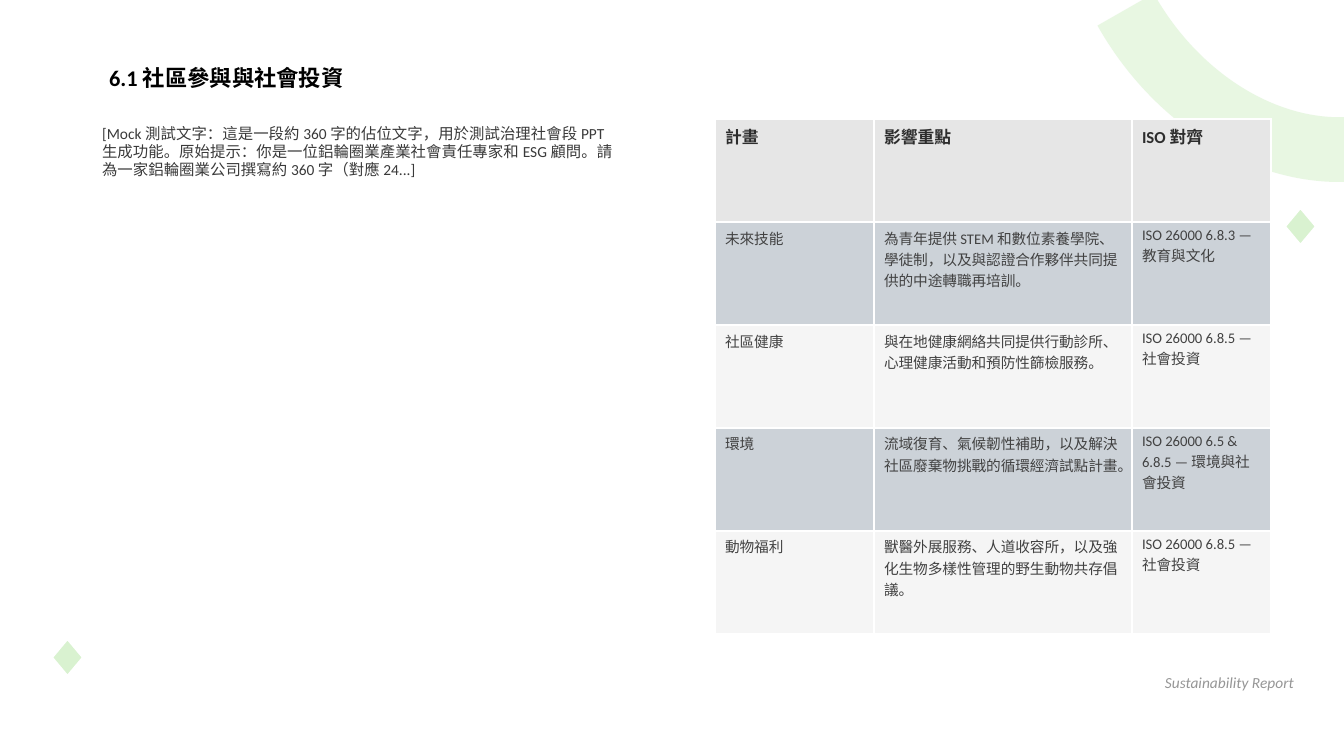
from lxml.etree import SubElement
from pptx import Presentation
from pptx.dml.color import RGBColor
from pptx.enum.shapes import MSO_SHAPE as Shape
from pptx.enum.text import MSO_ANCHOR as Anchor, MSO_AUTO_SIZE as AutoSize, PP_ALIGN as Align
from pptx.oxml.ns import qn
from pptx.util import Pt

SCALE = 12192000 / 1344
FONT = "Calibri"
LEAF = "D9F2D0"
COLUMNS = [159, 258, 139]
ROW_HEIGHT = 103
PROGRAMMES = [
    ("計畫", "影響重點", "ISO 對齊"),
    ("未來技能", "為青年提供 STEM 和數位素養學院、學徒制，以及與認證合作夥伴共同提供的中途轉職再培訓。",
     "ISO 26000 6.8.3 — 教育與文化"),
    ("社區健康", "與在地健康網絡共同提供行動診所、心理健康活動和預防性篩檢服務。",
     "ISO 26000 6.8.5 — 社會投資"),
    ("環境", "流域復育、氣候韌性補助，以及解決社區廢棄物挑戰的循環經濟試點計畫。",
     "ISO 26000 6.5 & 6.8.5 — 環境與社會投資"),
    ("動物福利", "獸醫外展服務、人道收容所，以及強化生物多樣性管理的野生動物共存倡議。",
     "ISO 26000 6.8.5 — 社會投資"),
]
INTRODUCTION = [
    "[Mock 測試文字：這是一段約 360 字的佔位文字，用於測試治理社會段 PPT",
    "生成功能。原始提示：你是一位鋁輪圈業產業社會責任專家和 ESG 顧問。請為一家鋁輪圈業公司撰寫約 360 字（對應 24...]",
]


def px(length):
    return round(length * SCALE)


def colour(code):
    return RGBColor.from_string(code)


def style(para, size, code, bold=False, italic=False):
    para.font.name = FONT
    para.font.size = Pt(size)
    para.font.bold = bold
    para.font.italic = italic
    para.font.color.rgb = colour(code)


def place(box, left, top, width, height):
    box.left, box.top, box.width, box.height = map(px, (left, top, width, height))
    frame = box.text_frame
    frame.word_wrap = True
    frame.auto_size = AutoSize.NONE
    frame.vertical_anchor = Anchor.TOP
    return frame


def add_arc(page):
    arc = page.shapes.add_shape(Shape.ARC, px(1099), px(-341), px(403), px(501))
    arc.shadow.inherit = False
    arc.rotation = 151.3
    arc.adjustments[0] = 152.05
    arc.adjustments[1] = 215.37
    arc.fill.background()
    arc.line.width = Pt(46.25)
    arc.line.color.rgb = colour(LEAF)
    tint = arc.line._get_or_add_ln().find(".//" + qn("a:srgbClr"))
    SubElement(tint, qn("a:alpha"), val="60000")


def add_diamond(page, left, top):
    diamond = page.shapes.add_shape(Shape.DIAMOND, px(left), px(top), px(31), px(37))
    diamond.shadow.inherit = False
    diamond.fill.solid()
    diamond.fill.fore_color.rgb = colour(LEAF)
    diamond.line.color.rgb = colour("FFFFFF")
    diamond.line.width = Pt(1.5)


def fill_title(page, text):
    frame = place(page.shapes.title, 99, 59, 793, 101)
    frame.text = text
    para = frame.paragraphs[0]
    para.alignment = Align.LEFT
    style(para, 16, "000000", bold=True)


def fill_body(page, texts):
    frame = place(page.placeholders[1], 92, 119, 535, 596)
    frame.text = "\n".join(texts)
    for para in frame.paragraphs:
        properties = para._p.get_or_add_pPr()
        properties.set("marL", "0")
        properties.set("indent", "0")
        SubElement(properties, qn("a:buNone"))
        para.space_before = Pt(0)
        para.line_spacing = Pt(13)
        style(para, 11, "3A3A3A")


def add_programme_table(page):
    table = page.shapes.add_table(
        len(PROGRAMMES), len(COLUMNS), px(715), px(119),
        px(sum(COLUMNS)), px(ROW_HEIGHT * len(PROGRAMMES))).table
    for column, width in zip(table.columns, COLUMNS):
        column.width = px(width)
    for number, texts in enumerate(PROGRAMMES):
        header = number == 0
        fill = "E6E6E6" if header else "CCD2D8" if number % 2 else "F5F5F5"
        for cell, text in zip(table.rows[number].cells, texts):
            cell.text = text
            cell.fill.solid()
            cell.fill.fore_color.rgb = colour(fill)
            para = cell.text_frame.paragraphs[0]
            if header:
                style(para, 12, "2D2D2D", bold=True)
            else:
                style(para, 10.5, "424242")


def add_footer(page, text):
    frame = place(page.shapes.add_textbox(0, 0, 0, 0), 1066, 668, 238, 47)
    frame.text = text
    para = frame.paragraphs[0]
    para.alignment = Align.RIGHT
    style(para, 11, "969696", italic=True)


def main():
    deck = Presentation()
    deck.slide_width, deck.slide_height = px(1344), px(756)
    page = deck.slides.add_slide(deck.slide_layouts[1])
    add_arc(page)
    add_diamond(page, 1285, 208)
    add_diamond(page, 52, 639)
    fill_title(page, "6.1 社區參與與社會投資")
    fill_body(page, INTRODUCTION)
    add_programme_table(page)
    add_footer(page, "Sustainability Report")
    deck.save("out.pptx")


if __name__ == "__main__":
    main()
